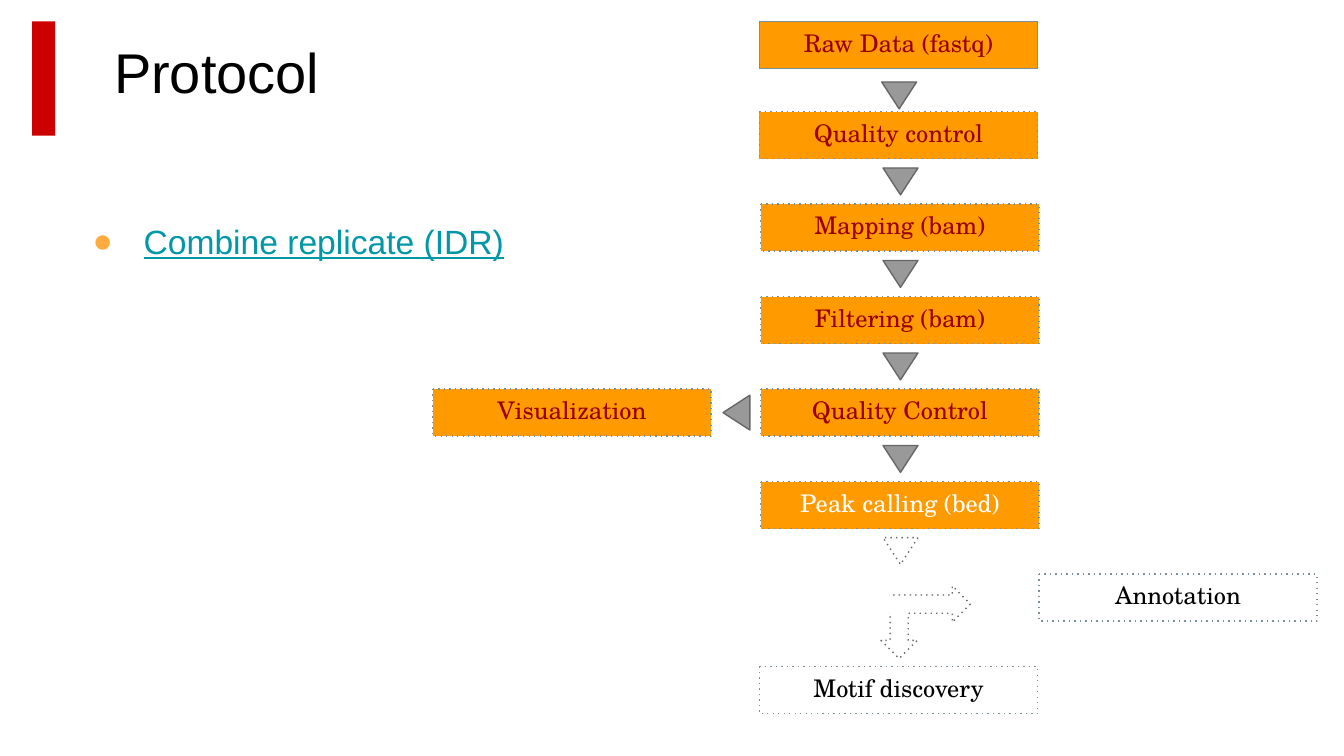
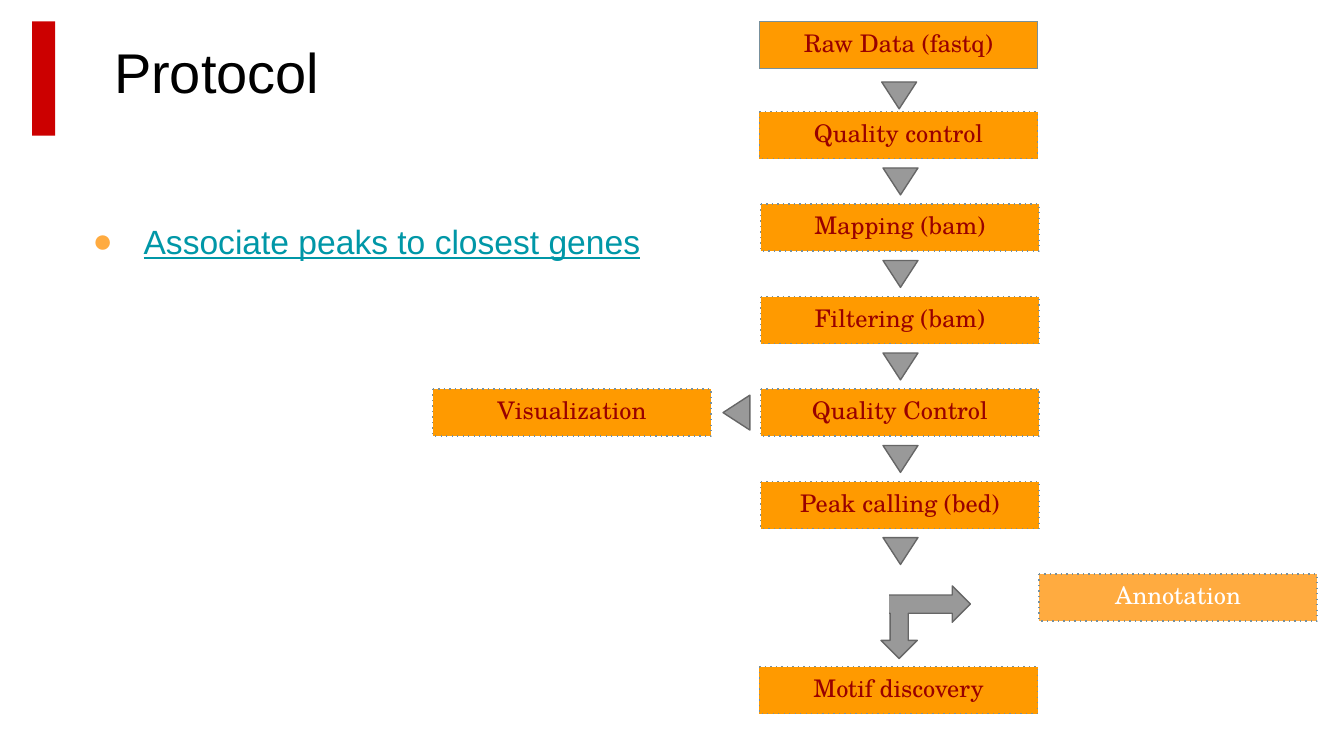
"""Build two protocol slides showing progress through a sequencing workflow."""
from lxml.etree import SubElement
from pptx import Presentation
from pptx.dml.color import RGBColor
from pptx.enum.shapes import MSO_SHAPE
from pptx.enum.text import MSO_ANCHOR, PP_ALIGN
from pptx.oxml.ns import qn
from pptx.util import Inches, Pt

COLORS = {
    "white": "FFFFFF", "black": "000000", "red": "CC0000", "link": "0097A7",
    "bullet": "FFAB40", "done": "FF9A00", "done_text": "980000",
    "box_line": "78909C", "arrow": "999999", "arrow_line": "666666",
}
BOX_WIDTH, BOX_HEIGHT = 2.07, 0.35
ROW_TOP, ROW_PITCH = 0.83, 4.13 / 6
COLUMN = 5.66

STEPS = [
    ("Raw Data (fastq)", 5.65, 0.16),
    ("Quality control", 5.65, ROW_TOP),
    ("Mapping (bam)", COLUMN, ROW_TOP + ROW_PITCH),
    ("Filtering (bam)", COLUMN, ROW_TOP + 2 * ROW_PITCH),
    ("Quality Control", COLUMN, ROW_TOP + 3 * ROW_PITCH),
    ("Visualization", 3.22, ROW_TOP + 3 * ROW_PITCH),
    ("Peak calling (bed)", COLUMN, ROW_TOP + 4 * ROW_PITCH),
    ("Annotation", 7.73, ROW_TOP + 5 * ROW_PITCH),
    ("Motif discovery", 5.65, ROW_TOP + 6 * ROW_PITCH),
]
TRIANGLES = [(6.56, 0.61, 180), (5.35, 2.97, 270)]
TRIANGLES += [(6.57, 1.25 + row * ROW_PITCH, 180) for row in range(4)]

SLIDES = [
    {
        "topic": "Combine replicate (IDR)",
        "step_styles": {
            "Peak calling (bed)": ("done", "white"),
            "Annotation": ("white", "black"),
            "Motif discovery": ("white", "black"),
        },
        "branch_fill": "white",
        "branch_dotted": True,
    },
    {
        "topic": "Associate peaks to closest genes",
        "step_styles": {"Annotation": ("bullet", "white")},
        "branch_fill": "arrow",
        "branch_dotted": False,
    },
]


def add_box(slide, kind, bounds, fill, line=None, dotted=False):
    shape = slide.shapes.add_shape(kind, *[Inches(value) for value in bounds])
    shape.shadow.inherit = False
    shape.fill.solid()
    shape.fill.fore_color.rgb = RGBColor.from_string(COLORS[fill])
    if line is None:
        shape.line.fill.background()
    else:
        shape.line.color.rgb = RGBColor.from_string(COLORS[line])
        shape.line.width = Pt(0.75)
        if dotted:
            outline = shape._element.spPr.find(qn("a:ln"))
            SubElement(outline, qn("a:prstDash"), val="dot")
    return shape


def write_text(shape, text, font, size, color, margin):
    frame = shape.text_frame
    frame.word_wrap = True
    frame.margin_left = frame.margin_right = Inches(0.1)
    frame.margin_top = frame.margin_bottom = Inches(margin)
    paragraph = frame.paragraphs[0]
    run = paragraph.add_run()
    run.text = text
    run.font.name = font
    run.font.size = Pt(size)
    run.font.color.rgb = RGBColor.from_string(COLORS[color])
    return paragraph


presentation = Presentation()
presentation.slide_width = Inches(10)
presentation.slide_height = Inches(10 * 9 / 16)

for content in SLIDES:
    slide = presentation.slides.add_slide(presentation.slide_layouts[6])
    add_box(slide, MSO_SHAPE.RECTANGLE, (0.24, 0.16, 0.17, 0.85), "red")

    title = slide.shapes.add_textbox(Inches(0.75), Inches(0.16), Inches(8.29), Inches(0.85))
    title.text_frame.vertical_anchor = MSO_ANCHOR.MIDDLE
    write_text(title, "Protocol", "Arial", 30, "black", 0.1).line_spacing = 0.76

    body = slide.shapes.add_textbox(Inches(0.47), Inches(1.5), Inches(9.15), Inches(3.6))
    paragraph = write_text(body, content["topic"], "Arial", 18, "link", 0.1)
    paragraph.runs[0].font.underline = True
    paragraph.line_spacing = 1.15
    properties = paragraph._p.get_or_add_pPr()
    properties.set("marL", str(Inches(0.5)))
    properties.set("indent", str(Inches(-0.38)))
    bullet_color = SubElement(properties, qn("a:buClr"))
    SubElement(bullet_color, qn("a:srgbClr"), val=COLORS["bullet"])
    SubElement(properties, qn("a:buFont"), typeface="Arial")
    SubElement(properties, qn("a:buChar"), char="●")

    for label, left, top in STEPS:
        fill, text_color = content["step_styles"].get(label, ("done", "done_text"))
        step = add_box(slide, MSO_SHAPE.FLOWCHART_PROCESS, (left, top, BOX_WIDTH, BOX_HEIGHT),
                       fill, "box_line", dotted=label != "Raw Data (fastq)")
        step.text_frame.vertical_anchor = MSO_ANCHOR.TOP
        paragraph = write_text(step, label, "TeX Gyre Schola", 13, text_color, 0.05)
        paragraph.alignment = PP_ALIGN.CENTER

    for left, top, rotation in TRIANGLES:
        triangle = add_box(slide, MSO_SHAPE.FLOWCHART_EXTRACT, (left, top, 0.26, 0.2),
                           "arrow", "arrow_line")
        triangle.rotation = rotation

    for kind, bounds in [
        (MSO_SHAPE.FLOWCHART_EXTRACT, (6.57, 4, 0.26, 0.2)),
        (MSO_SHAPE.LEFT_RIGHT_UP_ARROW, (6.16, 4.36, 1.06, 0.54)),
    ]:
        branch = add_box(slide, kind, bounds, content["branch_fill"], "arrow_line",
                         content["branch_dotted"])
        branch.rotation = 180

    add_box(slide, MSO_SHAPE.RECTANGLE, (5.93, 4.36, 0.68, 0.35), "white", "white")

presentation.save("out.pptx")
